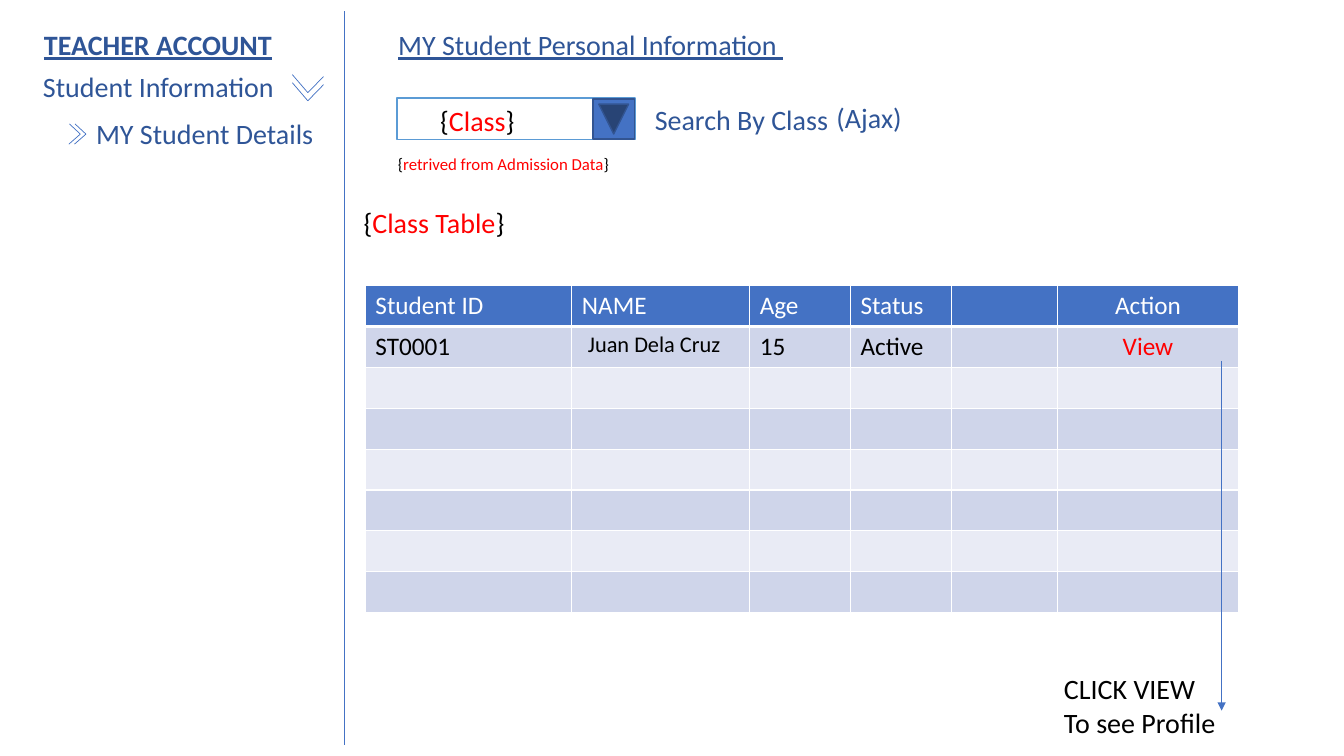
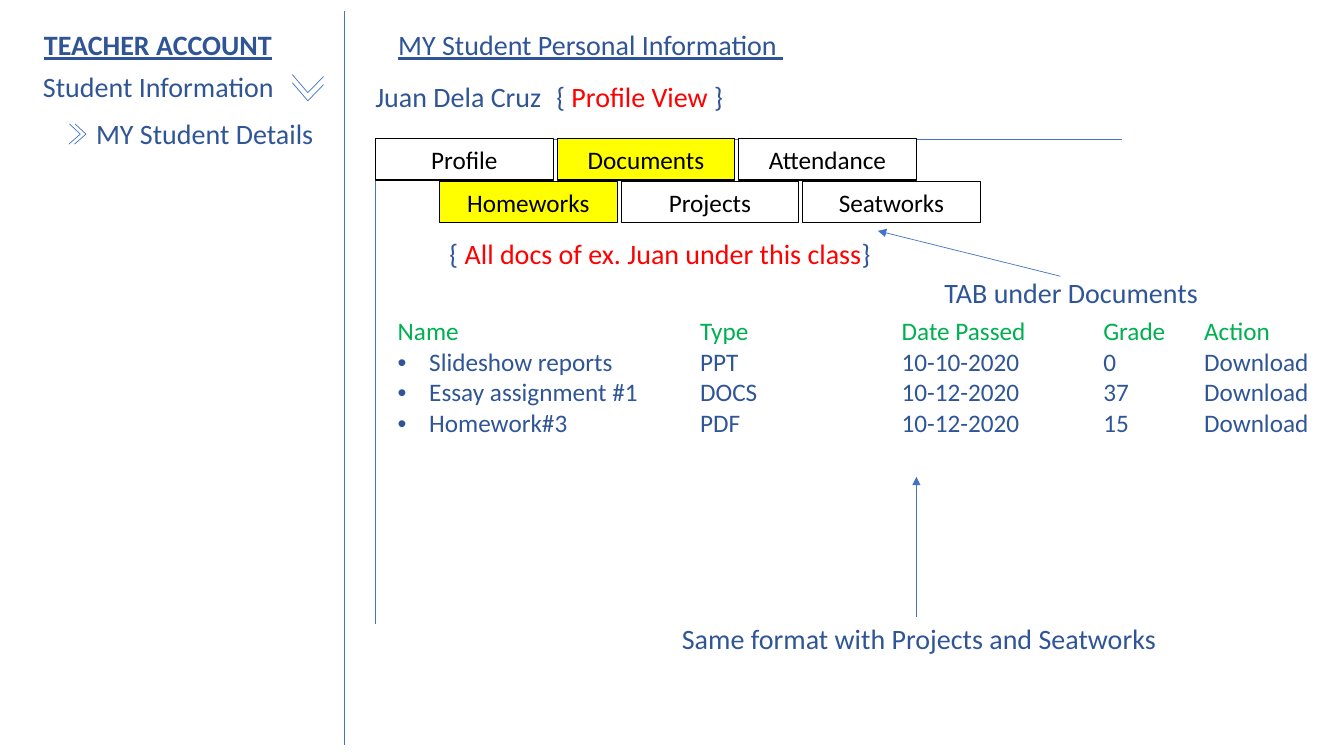
from lxml import etree
from pptx import Presentation
from pptx.dml.color import RGBColor
from pptx.enum.shapes import MSO_CONNECTOR, MSO_SHAPE
from pptx.enum.text import MSO_ANCHOR, MSO_AUTO_SIZE, PP_ALIGN
from pptx.oxml.ns import qn
from pptx.util import Pt

# Shared look
FONT = "Calibri"
COLORS = {
    "text": "2F5597", "line": "4472C4", "black": "000000", "white": "FFFFFF",
    "red": "FF0000", "green": "00B050", "yellow": "FFFF00", "field": "5B9BD5",
    "button": "325491", "band": "CFD5EA", "light": "E9EBF5",
}

# Shared content: lines are (x1, y1, x2, y2)
TITLE = "MY Student Personal Information "
DIVIDER = (246, 8, 246, 532)
RIGHT_CHEVRON = [(49.6, 88.5, 57.4, 95.8), (49.2, 103, 57.4, 95.8)]
DOWN_CHEVRON = [(231.1, 54.7, 219.9, 66.2), (208.8, 53.3, 219.9, 66.2)]

# Class list content
CLASS_COLUMNS = [("Student ID", 147.5), ("NAME", 127), ("Age", 72),
                 ("Status", 72), ("", 76), ("Action", 129)]
CLASS_ROWS = [["ST0001", "Juan Dela Cruz", "15", "Active", "", "View"]]
CLASS_ROWS += [[""] * len(CLASS_COLUMNS) for _ in range(6)]
CLASS_ROW_HEIGHT = 29.2

# Profile content
TAB_ROWS = [
    (268.3, 99.2, ["Profile", "Documents", "Attendance"]),
    (314, 129.6, ["Homeworks", "Projects", "Seatworks"]),
]
SELECTED_TABS = {"Documents", "Homeworks"}
TAB_WIDTH, TAB_HEIGHT, TAB_GAP = 126.8, 29.4, 2.9
DOCUMENT_COLUMNS = [("Name", 216), ("Type", 144), ("Date Passed", 144),
                    ("Grade", 72), ("Action", 91.5)]
DOCUMENT_ROWS = [
    ["Slideshow reports", "PPT", "10-10-2020", "0", "Download"],
    ["Essay assignment #1", "DOCS", "10-12-2020", "37", "Download"],
    ["Homework#3", "PDF", "10-12-2020", "15", "Download"],
]
DOCUMENT_ROW_HEIGHT = 21.9


def color(name):
    return RGBColor.from_string(COLORS[name])


def format_runs(paragraph, size, color_name, bold=False, underline=False):
    for run in paragraph.runs:
        font = run.font
        font.name, font.size = FONT, Pt(size)
        font.bold, font.underline = bold, underline
        font.color.rgb = color(color_name)


def add_text(slide, left, top, width, lines, size=20, color_name="text", **emphasis):
    box = slide.shapes.add_textbox(Pt(left), Pt(top), Pt(width), Pt(size * 1.22 + 7.2))
    frame = box.text_frame
    frame.word_wrap = True
    frame.text = lines
    for paragraph in frame.paragraphs:
        format_runs(paragraph, size, color_name, **emphasis)
    return frame


def add_marked_text(slide, left, top, width, parts, brace_color, size=20):
    """Write an opening brace, a red field name and a closing brace."""
    paragraph = add_text(slide, left, top, width, "", size).paragraphs[0]
    for text in parts:
        paragraph.add_run().text = text
    format_runs(paragraph, size, brace_color)
    paragraph.runs[1].font.color.rgb = color("red")


def add_line(slide, points, arrow=False):
    connector = slide.shapes.add_connector(
        MSO_CONNECTOR.STRAIGHT, *[Pt(value) for value in points])
    connector.line.color.rgb = color("line")
    connector.line.width = Pt(0.5)
    if arrow:
        line = connector.line._get_or_add_ln()
        etree.SubElement(line, qn("a:tailEnd"), type="triangle")
    etree.SubElement(connector._element.spPr, qn("a:effectLst"))


def add_box(slide, kind, box, fill, line, line_width):
    shape = slide.shapes.add_shape(kind, *[Pt(value) for value in box])
    shape.shadow.inherit = False
    shape.fill.solid()
    shape.fill.fore_color.rgb = color(fill)
    shape.line.color.rgb = color(line)
    shape.line.width = Pt(line_width)
    return shape


def add_grid(slide, left, top, columns, rows, row_height):
    """Add a plain table with a header row and return it."""
    widths = [width for _, width in columns]
    content = [[name for name, _ in columns]] + rows
    table = slide.shapes.add_table(
        len(content), len(columns), Pt(left), Pt(top),
        Pt(sum(widths)), Pt(row_height * len(content))).table
    table.first_row = table.horz_banding = False
    for column, width in zip(table.columns, widths):
        column.width = Pt(width)
    for row, texts in zip(table.rows, content):
        row.height = Pt(row_height)
        for cell, text in zip(row.cells, texts):
            cell.text = text
    return table


def set_borders(cell, bottom):
    properties = cell._tc.get_or_add_tcPr()
    edges = [("a:lnL", 1), ("a:lnR", 1), ("a:lnT", 1), ("a:lnB", bottom)]
    for position, (tag, width) in enumerate(edges):
        edge = etree.Element(qn(tag), w=str(Pt(width)))
        fill = etree.SubElement(edge, qn("a:solidFill"))
        etree.SubElement(fill, qn("a:srgbClr"), val=COLORS["white"])
        properties.insert(position, edge)


def add_bullet(paragraph):
    properties = paragraph._p.get_or_add_pPr()
    properties.set("marL", str(Pt(22.5)))
    properties.set("indent", str(-Pt(22.5)))
    etree.SubElement(properties, qn("a:buFont"), typeface="Arial")
    etree.SubElement(properties, qn("a:buChar"), char="•")


def add_account_slide(presentation):
    """Add a slide with the title and the account menu."""
    slide = presentation.slides.add_slide(presentation.slide_layouts[5])
    title = slide.shapes.title
    title.left, title.top, title.width, title.height = Pt(277.2), Pt(16), Pt(312), Pt(31.6)
    frame = title.text_frame
    frame.text = TITLE
    frame.word_wrap = True
    frame.auto_size = MSO_AUTO_SIZE.NONE
    frame.vertical_anchor = MSO_ANCHOR.TOP
    frame.paragraphs[0].alignment = PP_ALIGN.LEFT
    format_runs(frame.paragraphs[0], 20, "text", underline=True)

    add_text(slide, 24.3, 16, 193, "TEACHER ACCOUNT", bold=True, underline=True)
    add_text(slide, 23.6, 46, 181, "Student Information")
    add_text(slide, 61.5, 79.8, 181, "MY Student Details")
    add_line(slide, DIVIDER)
    for chevron, shift_x, shift_y in [(RIGHT_CHEVRON, 4, 0), (DOWN_CHEVRON, 0, 5.8)]:
        for x1, y1, x2, y2 in chevron:
            add_line(slide, (x1, y1, x2, y2))
            add_line(slide, (x1 + shift_x, y1 + shift_y, x2 + shift_x, y2 + shift_y))
    return slide


def build_class_list(presentation):
    slide = add_account_slide(presentation)

    # Class search
    add_box(slide, MSO_SHAPE.RECTANGLE, (283.5, 69.9, 170, 29.9), "white", "field", 1)
    button = add_box(slide, MSO_SHAPE.ACTION_BUTTON_BACK_OR_PREVIOUS,
                     (424.2, 70.2, 28.4, 29.7), "line", "button", 1)
    button.rotation = 270
    add_marked_text(slide, 307.3, 70.3, 80, ["{", "Class", "}"], "black")
    add_text(slide, 460.6, 70, 145, "Search By Class")
    add_text(slide, 590.4, 68.2, 70, "(Ajax)")
    add_marked_text(slide, 277.2, 106.3, 180,
                    ["{", "retrived from Admission Data", "}"], "black", 12)
    add_marked_text(slide, 252.6, 143.2, 130, ["{", "Class Table", "}"], "black")

    # Class table
    table = add_grid(slide, 261, 204, CLASS_COLUMNS, CLASS_ROWS, CLASS_ROW_HEIGHT)
    for row_index, row in enumerate(table.rows):
        header = row_index == 0
        band = "line" if header else "band" if row_index % 2 else "light"
        for column_index, cell in enumerate(row.cells):
            cell.fill.solid()
            cell.fill.fore_color.rgb = color(band)
            set_borders(cell, 3 if header else 1)
            paragraph = cell.text_frame.paragraphs[0]
            action = column_index == len(CLASS_COLUMNS) - 1
            if action:
                paragraph.alignment = PP_ALIGN.CENTER
            text_color = "white" if header else "red" if action else "black"
            format_runs(paragraph, 18, text_color)
    name_cell = table.cell(1, 1)
    name_cell.margin_left = Pt(11.5)
    format_runs(name_cell.text_frame.paragraphs[0], 16, "black")

    # Link to the profile
    add_line(slide, (872.6, 257.8, 872.6, 507.6), arrow=True)
    add_text(slide, 752.9, 476.3, 126, "CLICK VIEW\nTo see Profile", color_name="black")


def build_profile(presentation):
    slide = add_account_slide(presentation)
    add_text(slide, 261, 53.2, 140, "Juan Dela Cruz")
    add_marked_text(slide, 390.3, 53.2, 145, ["{ ", "Profile View", " }"], "text")

    # Tabs
    add_line(slide, (268.3, 99.4, 268.3, 445.7))
    add_line(slide, (268.3, 99.4, 801.4, 99.4))
    for left, top, names in TAB_ROWS:
        for index, name in enumerate(names):
            box = (left + index * (TAB_WIDTH + TAB_GAP), top, TAB_WIDTH, TAB_HEIGHT)
            fill = "yellow" if name in SELECTED_TABS else "white"
            tab = add_box(slide, MSO_SHAPE.RECTANGLE, box, fill, "black", 0.75)
            tab.text_frame.text = name
            tab.text_frame.vertical_anchor = MSO_ANCHOR.MIDDLE
            paragraph = tab.text_frame.paragraphs[0]
            paragraph.alignment = PP_ALIGN.CENTER
            format_runs(paragraph, 18, "black")

    # Documents
    add_marked_text(slide, 314, 165.6, 330,
                    ["{ ", "All docs of ex. Juan under this class", "}"], "text")
    table = add_grid(slide, 276.9, 226, DOCUMENT_COLUMNS, DOCUMENT_ROWS,
                     DOCUMENT_ROW_HEIGHT)
    for row_index, row in enumerate(table.rows):
        for column_index, cell in enumerate(row.cells):
            cell.fill.background()
            cell.margin_top = cell.margin_bottom = cell.margin_right = 0
            paragraph = cell.text_frame.paragraphs[0]
            format_runs(paragraph, 18, "text" if row_index else "green")
            if row_index and column_index == 0:
                add_bullet(paragraph)

    # Remarks
    add_line(slide, (757.4, 197.3, 627.1, 164.9), arrow=True)
    add_text(slide, 667.6, 193.4, 205, "TAB under Documents")
    add_line(slide, (654.6, 440.6, 654.6, 340.6), arrow=True)
    add_text(slide, 480, 440.6, 365, "Same format with Projects and Seatworks")


def main():
    presentation = Presentation()
    presentation.slide_width, presentation.slide_height = Pt(960), Pt(540)
    build_class_list(presentation)
    build_profile(presentation)
    presentation.save("out.pptx")


if __name__ == "__main__":
    main()
